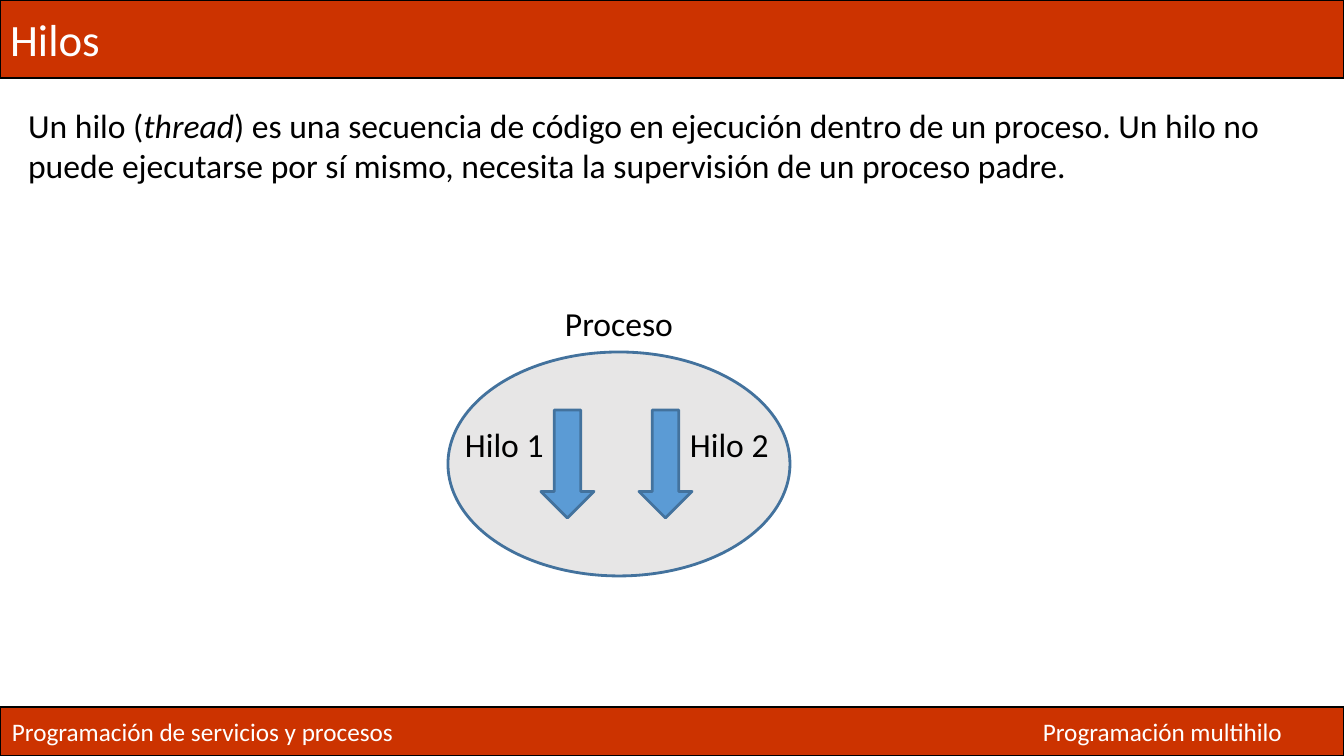
import pptx
import pptx.dml.color
import pptx.enum.shapes
import pptx.enum.text
import pptx.util
import lxml.etree

PX = 914400 / 100.8
RED = pptx.dml.color.RGBColor(0xCC, 0x33, 0x00)
BLACK = pptx.dml.color.RGBColor(0, 0, 0)
WHITE = pptx.dml.color.RGBColor(255, 255, 255)
GREY = pptx.dml.color.RGBColor(0xE7, 0xE6, 0xE6)
BLUE = pptx.dml.color.RGBColor(0x5B, 0x9B, 0xD5)
DARK_BLUE = pptx.dml.color.RGBColor(0x43, 0x72, 0x9D)

SHAPES = pptx.enum.shapes.MSO_SHAPE
ANCHOR = pptx.enum.text.MSO_ANCHOR
ALIGN = pptx.enum.text.PP_ALIGN
NO_FIT = pptx.enum.text.MSO_AUTO_SIZE.NONE


def px(length):
    return pptx.util.Emu(round(length * PX))


def apply(target, values):
    for name, value in values.items():
        setattr(target, name, value)


def place(part, box):
    apply(part, dict(zip(("left", "top", "width", "height"), map(px, box))))


def paint(part, fill, line):
    part.fill.solid()
    part.fill.fore_color.rgb = fill
    part.line.color.rgb = line
    part.line.width = pptx.util.Pt(2)


def write(frame, pieces, size, color, wrap=True, anchor=ANCHOR.TOP, align=ALIGN.LEFT):
    apply(frame, {"word_wrap": wrap, "auto_size": NO_FIT, "vertical_anchor": anchor})
    paragraph = frame.paragraphs[0]
    apply(paragraph, {"alignment": align, "space_before": pptx.util.Pt(0)})
    for words, italic in pieces:
        run = paragraph.add_run()
        run.text = words
        apply(run.font, {"name": "Calibri", "size": pptx.util.Pt(size), "italic": italic})
        run.font.color.rgb = color


def add_figure(slide, kind, box, fill, line):
    figure = slide.shapes.add_shape(kind, *map(px, box))
    figure.shadow.inherit = False
    paint(figure, fill, line)


def add_label(slide, words, box, size, color, align=ALIGN.LEFT):
    label = slide.shapes.add_textbox(*map(px, box))
    write(label.text_frame, [(words, False)], size, color, wrap=False, align=align)


def fill_title(heading):
    place(heading, (0, 0, 1344, 78))
    paint(heading, RED, BLACK)
    write(heading.text_frame, [("Hilos", False)], 32, WHITE, anchor=ANCHOR.MIDDLE)


def fill_definition(definition):
    place(definition, (18, 100, 1307, 91))
    write(definition.text_frame, [
        ("Un hilo (", False),
        ("thread", True),
        (") es una secuencia de código en ejecución dentro de un proceso. "
         "Un hilo no puede ejecutarse por sí mismo, necesita la supervisión "
         "de un proceso padre.", False),
    ], 24, BLACK)
    properties = definition.text_frame.paragraphs[0]._p.get_or_add_pPr()
    for name in ("marL", "indent"):
        properties.set(name, "0")
    lxml.etree.SubElement(properties, pptx.oxml.ns.qn("a:buNone"))


def draw_footer(slide):
    add_figure(slide, SHAPES.RECTANGLE, (0, 707, 1344, 49), RED, BLACK)
    for words, left, width in (("Programación de servicios y procesos", 2, 401),
                               ("Programación multihilo", 1033, 259)):
        add_label(slide, words, (left, 711, width, 40), 18, WHITE)


def draw_process(slide):
    add_figure(slide, SHAPES.OVAL, (448, 352, 342, 224), GREY, DARK_BLUE)
    add_label(slide, "Proceso", (555, 298, 128, 50), 24, BLACK, ALIGN.CENTER)
    for number, (arrow_left, label_left) in enumerate(((541, 455), (639, 680)), 1):
        add_figure(slide, SHAPES.DOWN_ARROW, (arrow_left, 410, 53, 108), BLUE, DARK_BLUE)
        add_label(slide, f"Hilo {number}", (label_left, 419, 99, 50), 24, BLACK)


def main():
    deck = pptx.Presentation()
    apply(deck, {"slide_width": px(1344), "slide_height": px(756)})
    slide = deck.slides.add_slide(deck.slide_layouts[1])
    fill_title(slide.shapes.title)
    fill_definition(slide.placeholders[1])
    draw_footer(slide)
    draw_process(slide)
    deck.save("out.pptx")


if __name__ == "__main__":
    main()
